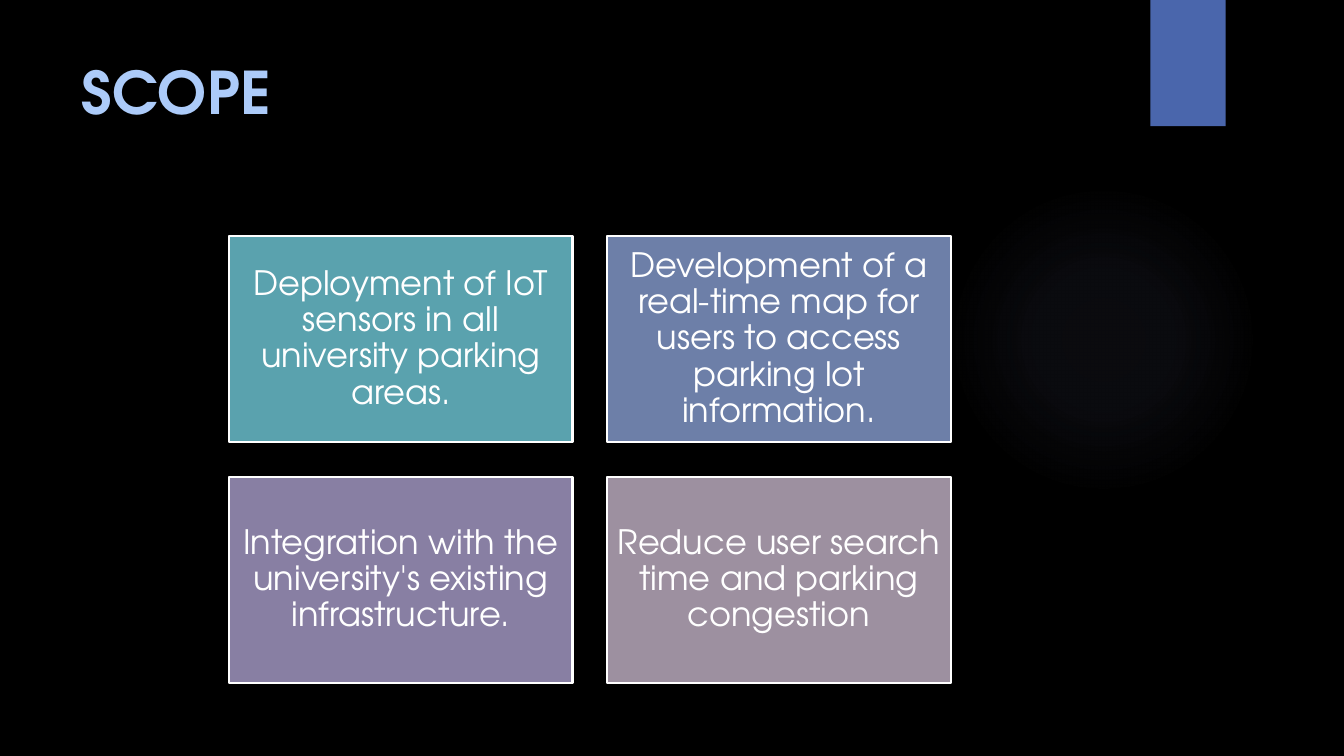
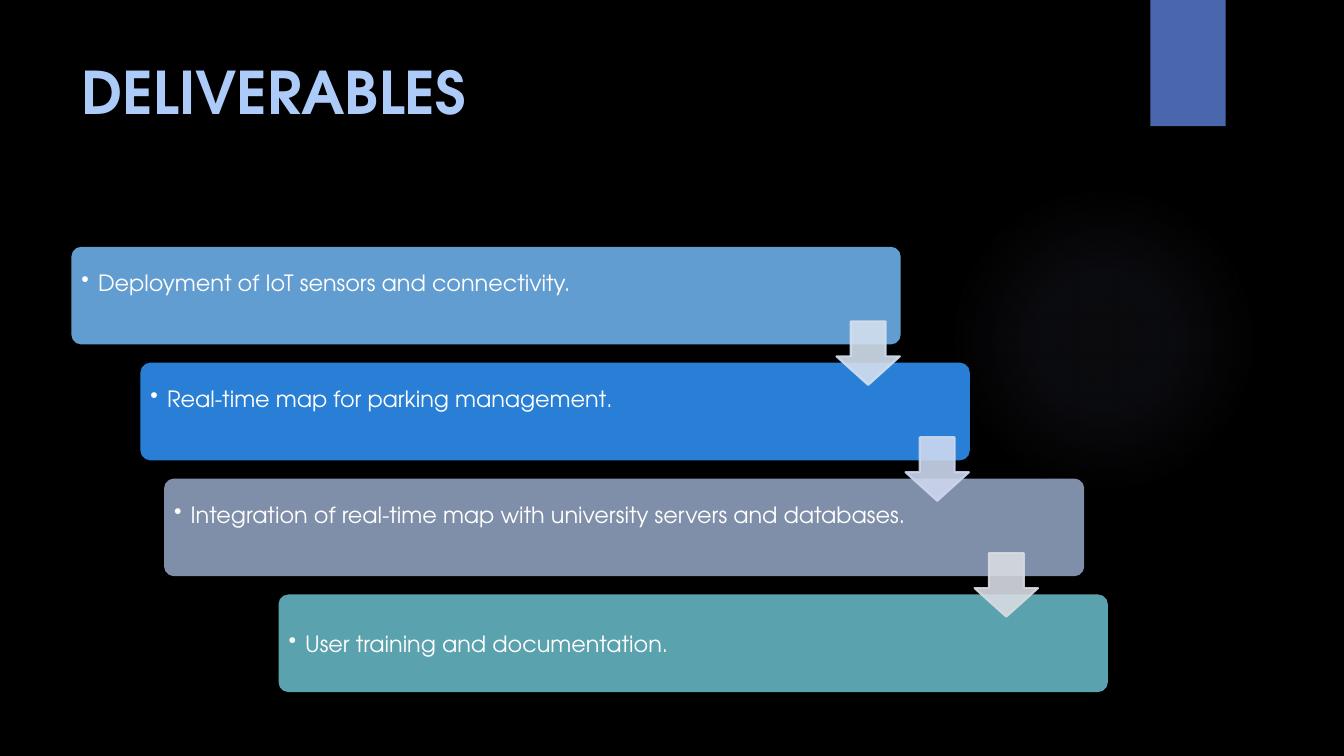
from lxml import etree
from pptx import Presentation
from pptx.dml.color import RGBColor
from pptx.enum.shapes import MSO_SHAPE
from pptx.enum.text import MSO_ANCHOR, MSO_AUTO_SIZE, PP_ALIGN
from pptx.oxml import parse_xml
from pptx.oxml.ns import nsdecls, qn
from pptx.util import Cm, Pt

RECT = MSO_SHAPE.RECTANGLE
ROUND = MSO_SHAPE.ROUNDED_RECTANGLE
OVAL = MSO_SHAPE.OVAL
DOWN = MSO_SHAPE.DOWN_ARROW
TOP, MID = MSO_ANCHOR.TOP, MSO_ANCHOR.MIDDLE
LEFT, MIDST = PP_ALIGN.LEFT, PP_ALIGN.CENTER
FIXED = MSO_AUTO_SIZE.NONE

FONT = "TeX Gyre Adventor"
HUES = {
    "back": "000000", "title": "ACCBF9", "tab": "4A66AC", "glow": "9297CF",
    "white": "FFFFFF", "teal": "5AA2AE", "slate": "6D7FA8", "plum": "887FA3",
    "mauve": "9D90A0", "sky": "629DD1", "blue": "297FD5", "gray": "7F8FA9",
    "ice": "D3DFEE", "frost": "CDD8EF", "mist": "D8DBE2",
}


def hue(name):
    return RGBColor.from_string(HUES[name])


class Deck:
    def __init__(self):
        self.prs = Presentation()
        self.prs.slide_width, self.prs.slide_height = Cm(33.87), Cm(19.05)
        self.base = self.prs.slide_layouts[5]
        fill = self.base.background.fill
        fill.solid()
        fill.fore_color.rgb = hue("back")
        self.slide = None

    def page(self, title):
        first = self.slide is None
        self.slide = self.prs.slides.add_slide(self.base)
        if first:
            self.decor()
        box = self.slide.shapes.title
        box.left, box.top, box.width, box.height = Cm(1.8), Cm(1.27), Cm(26.14), Cm(3.89)
        self.label(box, title, 42, "title", LEFT, TOP, bold=True)

    def decor(self):
        glow = self.shape(OVAL, 23.9, 4.65, 7.82, 7.82, "glow")
        stops = "".join(
            f'<a:gs pos="{pos * 1000}"><a:srgbClr val="{HUES["glow"]}">'
            f'<a:alpha val="{alpha * 1000}"/></a:srgbClr></a:gs>'
            for pos, alpha in ((0, 7), (36, 6), (69, 0), (100, 0)))
        grad = parse_xml(
            f'<a:gradFill {nsdecls("a")} rotWithShape="1"><a:gsLst>{stops}</a:gsLst>'
            '<a:path path="circle"><a:fillToRect l="50000" t="50000" r="50000" b="50000"/>'
            '</a:path></a:gradFill>')
        props = glow.element.spPr
        props.replace(props.find(qn("a:solidFill")), grad)
        tab = self.shape(RECT, 28.99, 0, 1.9, 3.18, "tab")
        for num, part in enumerate((glow, tab), 20):
            part.element.nvSpPr.cNvPr.set("id", str(num))
            self.base.shapes.element.append(part.element)

    def shape(self, kind, x, y, w, h, fill, line=None):
        item = self.slide.shapes.add_shape(kind, Cm(x), Cm(y), Cm(w), Cm(h))
        item.shadow.inherit = False
        item.fill.solid()
        item.fill.fore_color.rgb = hue(fill)
        if line:
            item.line.color.rgb = hue(line)
            item.line.width = Pt(1.5)
        else:
            item.line.fill.background()
        return item

    def label(self, item, text, size, color, align, anchor, bold=False):
        frame = item.text_frame
        frame.text = text
        frame.word_wrap = True
        frame.auto_size = FIXED
        frame.vertical_anchor = anchor
        para = frame.paragraphs[0]
        para.alignment = align
        for run in para.runs:
            run.font.name = FONT
            run.font.size = Pt(size)
            run.font.bold = bold
            run.font.color.rgb = hue(color)
        return para

    def pad(self, item, size, low=0):
        frame = item.text_frame
        frame.margin_left = frame.margin_right = frame.margin_top = Cm(size)
        frame.margin_bottom = Cm(size + low)

    def card(self, x, y, w, h, fill, text):
        item = self.shape(RECT, x, y, w, h, fill, "white")
        self.label(item, text, 24, "white", MIDST, MID).line_spacing = 0.9
        self.pad(item, 0.25)

    def bar(self, x, y, w, h, fill, text, low):
        item = self.shape(ROUND, x, y, w, h, fill)
        item.adjustments[0] = 0.1
        para = self.label(item, text, 16, "white", LEFT, MID)
        self.pad(item, 0.18, low)
        props = para._p.get_or_add_pPr()
        props.set("marL", str(Cm(0.42)))
        props.set("indent", str(-Cm(0.42)))
        etree.SubElement(props, qn("a:buChar")).set("char", "•")

    def arrow(self, x, y, size, fill):
        item = self.shape(DOWN, x, y, size, size, fill, fill)
        item.adjustments[0], item.adjustments[1] = 0.55, 0.45
        for node in item.element.spPr.iter(qn("a:srgbClr")):
            etree.SubElement(node, qn("a:alpha")).set("val", "90000")


def scope(deck):
    deck.page("SCOPE")
    wide, high, gap = 8.66, 5.2, 0.87
    cards = (
        ("teal", "Deployment of IoT sensors in all university parking areas."),
        ("slate", "Development of a real-time map for users to access parking lot information."),
        ("plum", "Integration with the university's existing infrastructure."),
        ("mauve", "Reduce user search time and parking congestion"),
    )
    for num, (fill, text) in enumerate(cards):
        row, col = divmod(num, 2)
        deck.card(5.77 + col * (wide + gap), 5.94 + row * (high + gap), wide, high, fill, text)


def goals(deck):
    deck.page("DELIVERABLES")
    step, drop = 1.74, 2.92
    bars = (
        ("sky", 20.9, 0.66, "Deployment of IoT sensors and connectivity."),
        ("blue", 20.9, 0.66, "Real-time map for parking management."),
        ("gray", 23.19, 0.66, "Integration of real-time map with university servers and databases."),
        ("teal", 20.9, 0, "User training and documentation."),
    )
    for num, (fill, wide, low, text) in enumerate(bars):
        left = 12.25 + num * step - wide / 2
        deck.bar(left, 6.22 + num * drop, wide, 2.46, fill, text, low)
    for num, fill in enumerate(("ice", "frost", "mist")):
        deck.arrow(21.08 + num * step, 8.1 + num * drop, 1.6, fill)


def main():
    deck = Deck()
    scope(deck)
    goals(deck)
    deck.prs.save("out.pptx")


if __name__ == "__main__":
    main()
